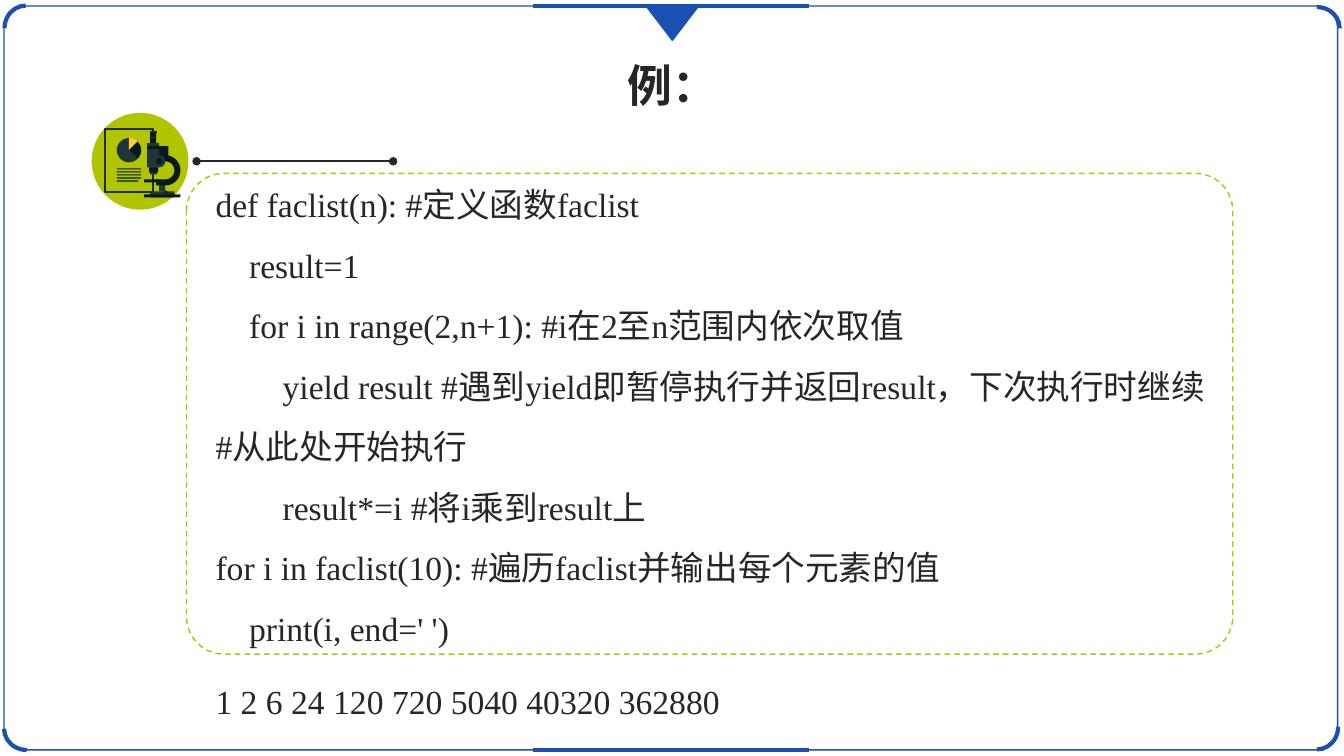
import math

from lxml import etree
from pptx import Presentation
from pptx.dml.color import RGBColor
from pptx.enum.dml import MSO_LINE
from pptx.enum.shapes import MSO_CONNECTOR, MSO_SHAPE
from pptx.enum.text import MSO_AUTO_SIZE, PP_ALIGN
from pptx.oxml.ns import qn
from pptx.util import Inches, Pt

RECT, ROUND_RECT = MSO_SHAPE.RECTANGLE, MSO_SHAPE.ROUNDED_RECTANGLE
OVAL, ARC, TRIANGLE = MSO_SHAPE.OVAL, MSO_SHAPE.ARC, MSO_SHAPE.ISOSCELES_TRIANGLE
STRAIGHT, DASH = MSO_CONNECTOR.STRAIGHT, MSO_LINE.DASH
LEFT, CENTER = PP_ALIGN.LEFT, PP_ALIGN.CENTER
FIT_TEXT = MSO_AUTO_SIZE.SHAPE_TO_FIT_TEXT

COLORS = {"frame": "1950B2", "text": "262626", "lime": "B1C400", "page": "222A35",
          "slate": "213538", "ink": "08191E", "yellow": "FFCE35"}
CJK_FONT, CODE_FONT = "Noto Sans CJK SC", "Times New Roman"

# The slide grid has 0.1 inch cells; the icon has its own, finer grid.
CELL = Inches(0.1)
ICON_LEFT, ICON_TOP, ICON_CELL = 9.2, 11.2, 0.3
COLUMNS, ROWS = 133.33, 75

CODE = [
    "def faclist(n): #定义函数faclist",
    "    result=1",
    "    for i in range(2,n+1): #i在2至n范围内依次取值",
    "        yield result #遇到yield即暂停执行并返回result，下次执行时继续\t#从此处开始执行",
    "        result*=i #将i乘到result上",
    "for i in faclist(10): #遍历faclist并输出每个元素的值",
    "    print(i, end=' ')",
]
OUTPUT = ["1 2 6 24 120 720 5040 40320 362880"]


def cells(*values):
    return [round(value * CELL) for value in values]


def on_icon(x, y):
    return ICON_LEFT + x * ICON_CELL, ICON_TOP + y * ICON_CELL


def rgb(name):
    return RGBColor.from_string(COLORS[name])


def paint(shape, fill=None, line=None, weight=1, dash=None):
    shape.shadow.inherit = False
    if fill:
        shape.fill.solid()
        shape.fill.fore_color.rgb = rgb(fill)
    else:
        shape.fill.background()
    if line:
        shape.line.color.rgb = rgb(line)
        shape.line.width = Pt(weight)
        if dash:
            shape.line.dash_style = dash
    else:
        shape.line.fill.background()


def add_preset(slide, kind, area, corner=None, rotation=0, **style):
    shape = slide.shapes.add_shape(kind, *cells(*area))
    shape.rotation = rotation
    if corner is not None:
        shape.adjustments[0] = corner
    paint(shape, **style)


def add_rule(slide, left, right, y, color, weight, dots=False):
    rule = slide.shapes.add_connector(STRAIGHT, *cells(left, y, right, y))
    rule.line.color.rgb = rgb(color)
    rule.line.width = Pt(weight)
    if dots:
        outline = rule.line._get_or_add_ln()
        for end in ("a:headEnd", "a:tailEnd"):
            etree.SubElement(outline, qn(end), type="oval")
    etree.SubElement(rule._element.spPr, qn("a:effectLst"))


def add_text(slide, lines, area, font=CODE_FONT, size=24, bold=False,
             align=LEFT, spacing=1.5, wrap=True, tab=None):
    frame = slide.shapes.add_textbox(*cells(*area)).text_frame
    frame.word_wrap = wrap
    frame.auto_size = FIT_TEXT
    for index, line in enumerate(lines):
        paragraph = frame.add_paragraph() if index else frame.paragraphs[0]
        paragraph.alignment = align
        paragraph.line_spacing = spacing
        if tab and "\t" in line:
            stops = etree.SubElement(paragraph._p.get_or_add_pPr(), qn("a:tabLst"))
            etree.SubElement(stops, qn("a:tab"), pos=str(cells(tab)[0]), algn="l")
        run = paragraph.add_run()
        run.text = line
        run.font.name, run.font.size, run.font.bold = font, Pt(size), bold
        run.font.color.rgb = rgb("text")
        etree.SubElement(run.font._element, qn("a:ea"), typeface=CJK_FONT)


def add_icon_part(slide, kind, x, y, width, height, **style):
    area = (*on_icon(x, y), width * ICON_CELL, height * ICON_CELL)
    add_preset(slide, kind, area, **style)


def add_icon_outline(slide, points, fill):
    start, *rest = [cells(*on_icon(x, y)) for x, y in points]
    builder = slide.shapes.build_freeform(*start)
    builder.add_line_segments(rest, close=True)
    paint(builder.convert_to_shape(), fill=fill)


def arc_points(x, y, radius, start, end, steps=24):
    angles = [math.radians(start + (end - start) * i / steps) for i in range(steps + 1)]
    return [(x + radius * math.cos(a), y + radius * math.sin(a)) for a in angles]


def add_frame(slide):
    add_preset(slide, ROUND_RECT, (0.4, 0.6, 132.3, 73.8), corner=0.029, line="frame")
    for x, y, rotation in ((0.3, 0.7, 270), (0.4, 70.2, 180),
                           (128.4, 0.7, 0), (128.4, 70, 90)):
        add_preset(slide, ARC, (x, y, 4.5, 4.2), rotation=rotation, line="frame", weight=3)
    for y in (0.6, 74.4):
        add_rule(slide, 52.9, 80.3, y, "frame", 3)
    add_preset(slide, TRIANGLE, (64.1, 0.6, 5.2, 3.4), rotation=180,
               fill="frame", line="frame")


def add_report(slide):
    add_icon_part(slide, OVAL, -0.33, 0, 32, 32, fill="lime")
    add_icon_part(slide, RECT, 4, 5.33, 16, 21, line="page", weight=1.5)
    # Pie slices, as angles clockwise from the right
    for start, end, fill in ((45, 270, "slate"), (270, 315, "yellow"), (315, 405, "ink")):
        slice_points = [(12, 12.33)] + arc_points(12, 12.33, 4, start, end)
        add_icon_outline(slide, slice_points, fill)
    # Lines of writing
    for row, width in enumerate((8, 8, 8, 8, 7)):
        add_icon_part(slide, RECT, 8, 18.33 + row, width, 0.4, fill="ink")


def add_microscope(slide):
    # Foot, body and tube
    for kind, x, y, width, height, fill in (
            (RECT, 19, 26, 8, 2, "slate"), (RECT, 21, 11, 4, 5, "ink"),
            (RECT, 22, 23, 2, 3, "slate"), (RECT, 19, 16.33, 2.33, 4, "slate"),
            (RECT, 18.67, 18, 3, 1.67, "ink"), (RECT, 18, 10, 4, 8, "slate"),
            (RECT, 19, 6, 2, 4, "ink"), (OVAL, 20, 14, 4, 4, "slate"),
            (RECT, 17, 22, 5, 1, "ink"), (OVAL, 21, 15, 2, 2, "ink"),
            (RECT, 17, 27, 12, 1, "ink"), (OVAL, 23.67, 25.67, 1, 1, "ink"),
            (RECT, 19, 8, 2, 0.33, "slate"), (RECT, 18, 11, 4, 1, "ink"),
            (RECT, 19.33, 20, 1.33, 0.33, "slate")):
        add_icon_part(slide, kind, x, y, width, height, fill=fill)
    # Eyepiece ridges
    for ridge in range(5):
        add_icon_part(slide, RECT, 19 + ridge / 2, 6, 0.25, 0.67, fill="slate")
    # Curved arm
    arm = (arc_points(24, 19, 5, -90, 90) + [(21, 24), (21, 22)]
           + arc_points(24, 19, 3, 90, -90))
    add_icon_outline(slide, arm, "ink")


def main():
    deck = Presentation()
    deck.slide_width, deck.slide_height = cells(COLUMNS, ROWS)
    slide = deck.slides.add_slide(deck.slide_layouts[6])

    add_frame(slide)
    add_text(slide, ["例："], (61.2, 5.2, 11, 6.4), font=CJK_FONT, size=32, bold=True,
             align=CENTER, spacing=1, wrap=False)

    # Code and its heading icon
    add_text(slide, CODE, (20.4, 15.8, 101.6, 48.8), tab=23)
    add_rule(slide, 19.5, 39, 16, "text", 1.5, dots=True)
    add_report(slide)
    add_microscope(slide)
    add_preset(slide, ROUND_RECT, (18.5, 17.2, 103.8, 47.7), corner=0.078,
               line="lime", dash=DASH)

    # Printed result
    add_text(slide, OUTPUT, (20.4, 65.1, 101.6, 6.3))
    deck.save("out.pptx")


if __name__ == "__main__":
    main()
